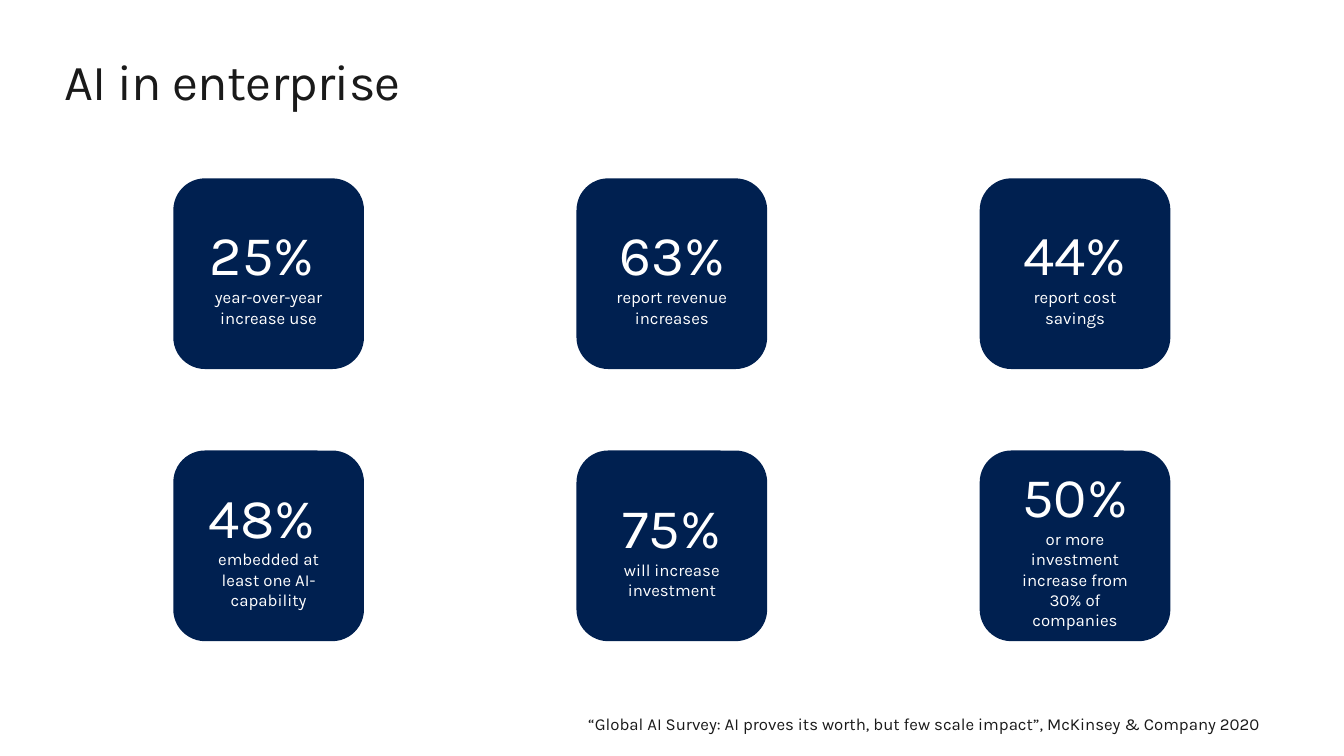
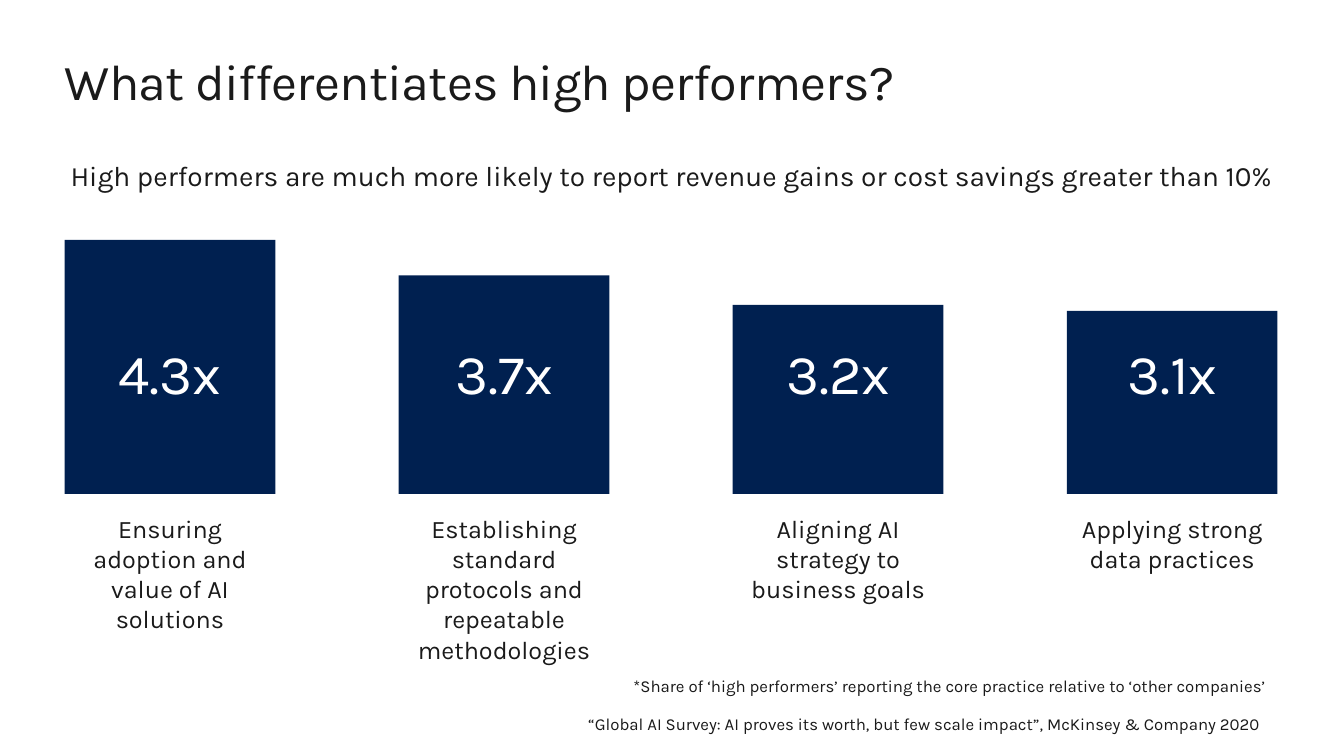
from pptx import Presentation
from pptx.dml.color import RGBColor
from pptx.enum.shapes import MSO_SHAPE
from pptx.enum.text import MSO_ANCHOR, PP_ALIGN
from pptx.util import Pt

NAVY = RGBColor(0x00, 0x20, 0x50)
INK = RGBColor(0x1A, 0x1A, 0x1A)
WHITE = RGBColor(0xFF, 0xFF, 0xFF)
FONT = "Karla"

ROUNDED = MSO_SHAPE.ROUNDED_RECTANGLE
RECTANGLE = MSO_SHAPE.RECTANGLE
MIDDLE = MSO_ANCHOR.MIDDLE
LEFT, CENTER, RIGHT = PP_ALIGN.LEFT, PP_ALIGN.CENTER, PP_ALIGN.RIGHT

MARGIN = 46.2
CONTENT_WIDTH = 867.5
NO_INSETS = (0, 0, 0, 0)
BOX_INSETS = (7.2, 3.6, 7.2, 3.6)
SOURCE_INSETS = (7.2, 3.6, 13.5, 3.6)
CARD_INSETS = (14.4, 11.5, 14.4, 11.5)
SOURCE = "“Global AI Survey: AI proves its worth, but few scale impact”, McKinsey & Company 2020"

CARD_LEFT, CARD_TOP, CARD_SIZE = 123.8, 127.4, 136.2
CARD_STEP_X, CARD_STEP_Y = 288, 194.4
CARDS = [
    [("25% ", "year-over-year increase use"),
     ("63%", "report revenue increases"),
     ("44%", "report cost savings")],
    [("48% ", "embedded at least one AI-capability"),
     ("75%", "will increase investment"),
     ("50%", "or more investment increase from 30% of companies")],
]

BAR_WIDTH, BAR_STEP, BAR_BOTTOM = 150.5, 238.6, 352.9
POINTS_PER_UNIT = 42.2
VALUE_TOP, LABEL_TOP = 238, 362.9
BARS = [
    (4.3, "Ensuring adoption and value of AI solutions"),
    (3.7, "Establishing standard protocols and repeatable methodologies"),
    (3.2, "Aligning AI strategy to business goals"),
    (3.1, "Applying strong data practices"),
]


def set_insets(text_frame, insets):
    text_frame.word_wrap = True
    (text_frame.margin_left, text_frame.margin_top,
     text_frame.margin_right, text_frame.margin_bottom) = map(Pt, insets)


def format_paragraph(paragraph, size, color, align):
    paragraph.alignment = align
    for run in paragraph.runs:
        run.font.name = FONT
        run.font.size = Pt(size)
        run.font.color.rgb = color


def add_text(slide, text, left, top, width, height, size,
             color=INK, align=CENTER, insets=BOX_INSETS):
    text_box = slide.shapes.add_textbox(Pt(left), Pt(top), Pt(width), Pt(height))
    text_frame = text_box.text_frame
    set_insets(text_frame, insets)
    text_frame.text = text
    paragraph = text_frame.paragraphs[0]
    format_paragraph(paragraph, size, color, align)
    return paragraph


def add_block(slide, preset, left, top, width, height):
    shape = slide.shapes.add_shape(preset, Pt(left), Pt(top), Pt(width), Pt(height))
    shape.shadow.inherit = False
    shape.fill.solid()
    shape.fill.fore_color.rgb = NAVY
    shape.line.fill.background()
    return shape


def add_card(slide, left, top, figure, caption):
    card = add_block(slide, ROUNDED, left, top, CARD_SIZE, CARD_SIZE)
    text_frame = card.text_frame
    set_insets(text_frame, CARD_INSETS)
    text_frame.vertical_anchor = MIDDLE
    text_frame.text = f"{figure}\n{caption}"
    for paragraph, size in zip(text_frame.paragraphs, (40, 12)):
        format_paragraph(paragraph, size, WHITE, CENTER)


def add_bar(slide, left, value, label):
    height = value * POINTS_PER_UNIT
    add_block(slide, RECTANGLE, left, BAR_BOTTOM - height, BAR_WIDTH, height)
    add_text(slide, f"{value}x", left, VALUE_TOP, BAR_WIDTH, 55.5, 40, WHITE)
    add_text(slide, label, left, LABEL_TOP, BAR_WIDTH, 116, 18)


def add_slide(presentation, title):
    slide = presentation.slides.add_slide(presentation.slide_layouts[6])
    paragraph = add_text(slide, title, MARGIN, 36, CONTENT_WIDTH, 44, 36,
                         align=LEFT, insets=NO_INSETS)
    paragraph.runs[0].font._element.set("spc", "-50")
    add_text(slide, SOURCE, MARGIN, 506.2, CONTENT_WIDTH, 21.6, 12,
             align=RIGHT, insets=SOURCE_INSETS)
    return slide


def build_enterprise(presentation):
    slide = add_slide(presentation, "AI in enterprise")
    for row, cards in enumerate(CARDS):
        for column, (figure, caption) in enumerate(cards):
            add_card(slide, CARD_LEFT + column * CARD_STEP_X,
                     CARD_TOP + row * CARD_STEP_Y, figure, caption)


def build_performers(presentation):
    slide = add_slide(presentation, "What differentiates high performers?")
    add_text(slide, "High performers are much more likely to report revenue gains "
             "or cost savings greater than 10%",
             MARGIN, 113.2, CONTENT_WIDTH, 24.5, 20, insets=NO_INSETS)
    for index, (value, label) in enumerate(BARS):
        add_bar(slide, MARGIN + index * BAR_STEP, value, label)
    add_text(slide, "*Share of ‘high performers’ reporting the core practice "
             "relative to ‘other companies’",
             MARGIN, 478.8, 865.3, 21.6, 12, align=RIGHT)


def main():
    presentation = Presentation()
    presentation.slide_width = Pt(960)
    presentation.slide_height = Pt(540)
    build_enterprise(presentation)
    build_performers(presentation)
    presentation.save("out.pptx")


if __name__ == "__main__":
    main()
